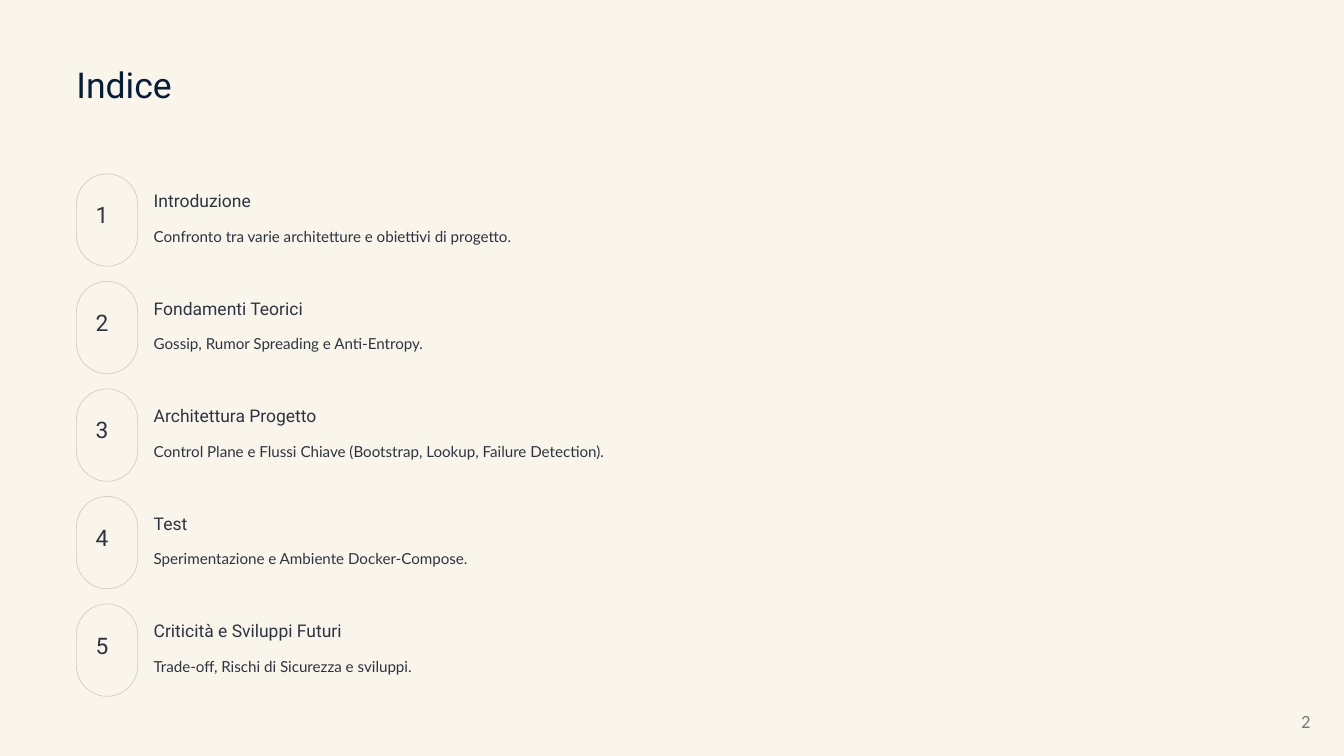
from dataclasses import dataclass
from typing import Optional

from pptx import Presentation
from pptx.dml.color import RGBColor
from pptx.enum import shapes, text
from pptx.slide import Slide
from pptx.util import Inches, Pt

COLORS = {
    "paper": "FAF5EB",
    "outline": "D5CDBE",
    "title": "051D3A",
    "body": "2B3541",
    "page_number": "797979",
}


@dataclass(frozen=True)
class Style:
    font: str
    size: float
    color: str
    spacing: Optional[float] = None


@dataclass(frozen=True)
class Chapter:
    heading: str
    summary: str


TITLE = Style("Roboto", 30.5, "title", 38.5)
NUMBER = Style("Roboto", 19.5, "body", 19.5)
HEADING = Style("Roboto", 15, "body", 19)
SUMMARY = Style("Lato", 13, "body", 21)
PAGE_NUMBER = Style("Calibri", 16, "page_number")

CHAPTERS = [
    Chapter("Introduzione", "Confronto tra varie architetture e obiettivi di progetto."),
    Chapter("Fondamenti Teorici", "Gossip, Rumor Spreading e Anti-Entropy."),
    Chapter("Architettura Progetto",
            "Control Plane e Flussi Chiave (Bootstrap, Lookup, Failure Detection)."),
    Chapter("Test", "Sperimentazione e Ambiente Docker-Compose."),
    Chapter("Criticità e Sviluppi Futuri", "Trade-off, Rischi di Sicurezza e sviluppi."),
]
LEFT = 0.91
TEXT_LEFT = 1.83
FIRST_TOP = 2.07
ROW_STEP = 1.28


def color(name: str) -> RGBColor:
    return RGBColor.from_string(COLORS[name])


def add_text(page: Slide, words: str, style: Style, left: float, top: float,
             width: float, height: float):
    """Add a one-line text box without margins and return it."""
    box = page.shapes.add_textbox(Inches(left), Inches(top), Inches(width), Inches(height))
    frame = box.text_frame
    frame.word_wrap = False
    frame.margin_left = frame.margin_right = frame.margin_top = frame.margin_bottom = 0
    para = frame.paragraphs[0]
    para.text = words
    para.font.name = style.font
    para.font.size = Pt(style.size)
    para.font.color.rgb = color(style.color)
    if style.spacing is not None:
        para.line_spacing = Pt(style.spacing)
    return box


def add_pill(page: Slide, top: float) -> None:
    pill = page.shapes.add_shape(shapes.MSO_SHAPE.ROUNDED_RECTANGLE, Inches(LEFT),
                                 Inches(top), Inches(0.73), Inches(1.1))
    pill.adjustments[0] = 0.5
    pill.shadow.inherit = False
    pill.fill.solid()
    pill.fill.fore_color.rgb = color("paper")
    pill.line.color.rgb = color("outline")
    pill.line.width = Pt(0.6)


def add_chapter(page: Slide, number: int, chapter: Chapter) -> None:
    top = FIRST_TOP + (number - 1) * ROW_STEP
    add_pill(page, top)
    add_text(page, str(number), NUMBER, 1.14, top + 0.38, 0.27, 0.34)
    add_text(page, chapter.heading, HEADING, TEXT_LEFT, top + 0.18, 2.48, 0.27)
    add_text(page, chapter.summary, SUMMARY, TEXT_LEFT, top + 0.56, 13.26, 0.29)


def add_page_number(page: Slide) -> None:
    box = add_text(page, "2", PAGE_NUMBER, 12.1, 8.34, 3.6, 0.48)
    frame = box.text_frame
    frame.word_wrap = True
    frame.margin_right = Inches(0.1)
    frame.vertical_anchor = text.MSO_ANCHOR.MIDDLE
    frame.paragraphs[0].alignment = text.PP_ALIGN.RIGHT


def main() -> None:
    deck = Presentation()
    deck.slide_width, deck.slide_height = Inches(16), Inches(9)
    page = deck.slides.add_slide(deck.slide_layouts[6])
    page.background.fill.solid()
    page.background.fill.fore_color.rgb = color("paper")

    add_text(page, "Indice", TITLE, LEFT, 0.72, 4.3, 0.54)
    for number, chapter in enumerate(CHAPTERS, start=1):
        add_chapter(page, number, chapter)
    add_page_number(page)
    deck.save("out.pptx")


if __name__ == "__main__":
    main()
